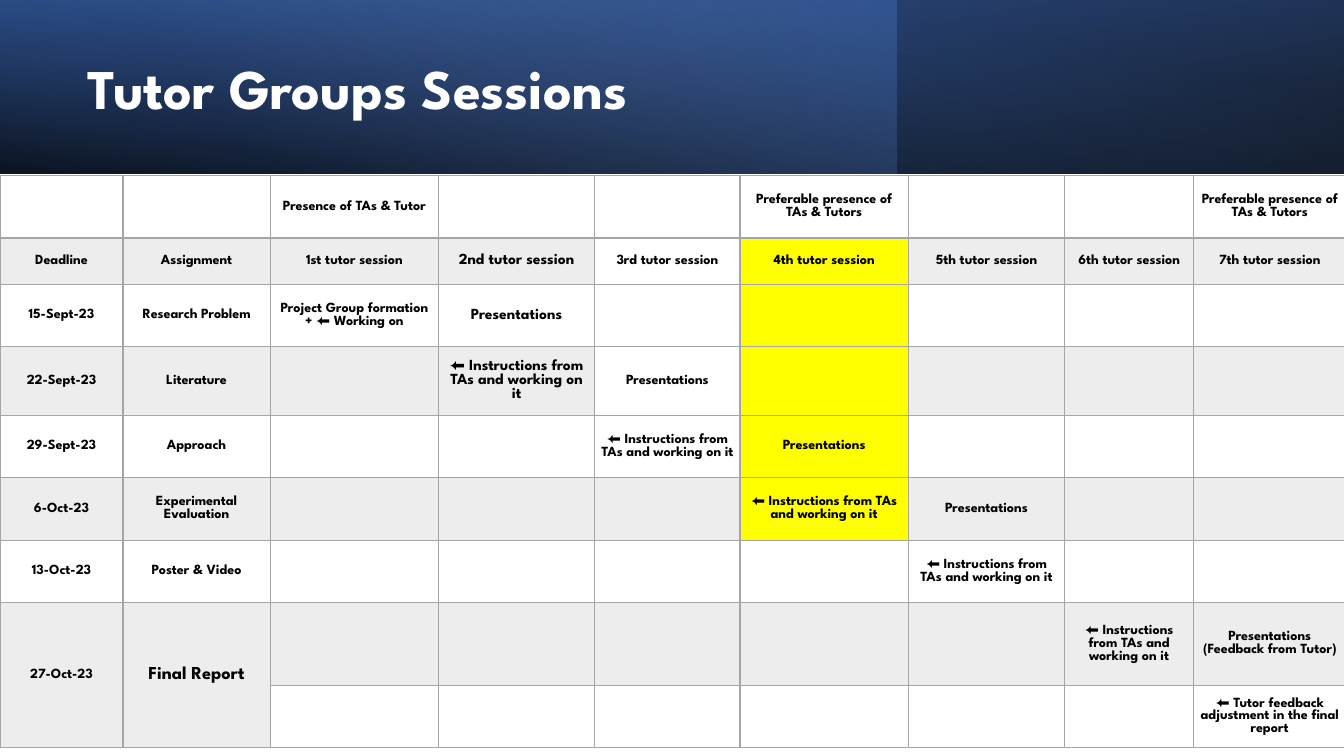
import pptx
import pptx.util
import pptx.dml.color
import pptx.enum.shapes
import pptx.enum.text
import pptx.oxml
import pptx.oxml.ns
from lxml import etree
from pptx.util import Inches

FONT = "League Spartan"
GREY, YELLOW = "A5A5A5", "FFFF00"
PRESENT = "Presentations"
WORKING = "⬅️ Instructions from TAs and working on it"
PREFERABLE = "Preferable presence of TAs & Tutors"

COLUMN_WIDTHS = [1.22, 1.46, 1.67, 1.55, 1.44, 1.67, 1.55, 1.28, 1.51]
ROW_HEIGHTS = [0.62, 0.46, 0.62, 0.68, 0.62, 0.62, 0.62, 0.82, 0.62]
SESSION_HEADS = [f"{number} tutor session" for number in
                 ("1st", "2nd", "3rd", "4th", "5th", "6th", "7th")]

# Each row maps a column number to its text
SCHEDULE = [
    {2: "Presence of TAs & Tutor", 5: PREFERABLE, 8: PREFERABLE},
    dict(enumerate(["Deadline", "Assignment"] + SESSION_HEADS)),
    {0: "15-Sept-23", 1: "Research Problem",
     2: "Project Group formation + ⬅️ Working on", 3: PRESENT},
    {0: "22-Sept-23", 1: "Literature", 3: WORKING, 4: PRESENT},
    {0: "29-Sept-23", 1: "Approach", 4: WORKING, 5: PRESENT},
    {0: "6-Oct-23", 1: "Experimental Evaluation", 5: WORKING, 6: PRESENT},
    {0: "13-Oct-23", 1: "Poster & Video", 6: WORKING},
    {0: "27-Oct-23", 1: "Final Report", 7: WORKING,
     8: "Presentations (Feedback from Tutor)"},
    {8: "⬅️ Tutor feedback adjustment in the final report"},
]


def rgb(hex_colour):
    return pptx.dml.color.RGBColor.from_string(hex_colour)


def format_text(paragraph, size, colour):
    paragraph.font.name = FONT
    paragraph.font.size = pptx.util.Pt(size)
    paragraph.font.bold = True
    paragraph.font.color.rgb = rgb(colour)


def add_band(slide, width, stops, angle, flipped=False, rotation=0):
    """Header band with a gradient; stops are (position, colour, opacity)."""
    band = slide.shapes.add_shape(pptx.enum.shapes.MSO_SHAPE.RECTANGLE,
                                  0, 0, Inches(width), Inches(1.72))
    band.shadow.inherit = False
    band.line.fill.background()
    band.rotation = rotation
    properties = band._element.spPr
    if flipped:
        properties.xfrm.set("flipH", "1")
    stop_xml = "".join(
        f'<a:gs pos="{position * 1000}"><a:srgbClr val="{colour}">'
        f'<a:alpha val="{opacity * 1000}"/></a:srgbClr></a:gs>'
        for position, colour, opacity in stops)
    gradient = pptx.oxml.parse_xml(
        f'<a:gradFill {pptx.oxml.ns.nsdecls("a")} rotWithShape="1">'
        f'<a:gsLst>{stop_xml}</a:gsLst>'
        f'<a:lin ang="{angle * 60000}" scaled="0"/></a:gradFill>')
    properties.find(pptx.oxml.ns.qn("a:prstGeom")).addnext(gradient)


def add_title(slide, text):
    title = slide.shapes.title
    title.left, title.top = Inches(0.77), Inches(0.27)
    title.width, title.height = Inches(7.72), Inches(1.27)
    frame = title.text_frame
    frame.text = text
    frame.auto_size = pptx.enum.text.MSO_AUTO_SIZE.NONE
    frame.vertical_anchor = pptx.enum.text.MSO_ANCHOR.MIDDLE
    heading = frame.paragraphs[0]
    heading.alignment = pptx.enum.text.PP_ALIGN.LEFT
    heading.line_spacing = 0.9
    format_text(heading, 40, "FFFFFF")
    # Bring the title in front of the bands
    slide.shapes._spTree.append(title._element)


def set_borders(cell, bottom_width):
    properties = cell._tc.get_or_add_tcPr()
    widths = {"lnL": 1, "lnR": 1, "lnT": 1, "lnB": bottom_width}
    for index, (side, width) in enumerate(widths.items()):
        properties.insert(index, pptx.oxml.parse_xml(
            f'<a:{side} {pptx.oxml.ns.nsdecls("a")} w="{width * 12700}">'
            f'<a:solidFill><a:srgbClr val="{GREY}"/></a:solidFill></a:{side}>'))


def fill_cell(cell, row, column):
    if column == 5 and 1 <= row <= 5:
        cell.fill.solid()
        cell.fill.fore_color.rgb = rgb(YELLOW)
    elif row % 2 == 1 and (row, column) not in [(1, 4), (3, 4)]:
        cell.fill.solid()
        cell.fill.fore_color.rgb = rgb(GREY)
        colour = cell._tc.tcPr.find(".//" + pptx.oxml.ns.qn("a:solidFill")
                                    + "[last()]/../" + pptx.oxml.ns.qn("a:solidFill")
                                    + "/" + pptx.oxml.ns.qn("a:srgbClr"))
        etree.SubElement(colour, pptx.oxml.ns.qn("a:alpha"), val="20000")
    else:
        cell.fill.background()


def text_size(row, column):
    if (row, column) == (7, 1):
        return 13
    return 11 if column == 3 and 1 <= row <= 3 else 10


def write_cell(cell, text, size):
    cell.text = text
    cell.vertical_anchor = pptx.enum.text.MSO_ANCHOR.MIDDLE
    cell.margin_left = cell.margin_right = Inches(0.06)
    cell.margin_top = cell.margin_bottom = 0
    paragraph = cell.text_frame.paragraphs[0]
    paragraph.alignment = pptx.enum.text.PP_ALIGN.CENTER
    format_text(paragraph, size, "000000")


def add_schedule(slide):
    schedule = slide.shapes.add_table(
        len(ROW_HEIGHTS), len(COLUMN_WIDTHS), 0, Inches(1.74),
        Inches(13.33), Inches(5.69)).table
    schedule.first_row = schedule.horz_banding = False
    for column, width in enumerate(COLUMN_WIDTHS):
        schedule.columns[column].width = Inches(width)
    for row, texts in enumerate(SCHEDULE):
        schedule.rows[row].height = Inches(ROW_HEIGHTS[row])
        for column in range(len(COLUMN_WIDTHS)):
            cell = schedule.cell(row, column)
            fill_cell(cell, row, column)
            set_borders(cell, 2 if row == 0 else 1)
            if column in texts:
                write_cell(cell, texts[column], text_size(row, column))
    # The final deadline and assignment span two rows
    for column in (0, 1):
        schedule.cell(7, column).merge(schedule.cell(8, column))


def main():
    deck = pptx.Presentation()
    deck.slide_width, deck.slide_height = Inches(13.33), Inches(7.5)
    slide = deck.slides.add_slide(deck.slide_layouts[5])

    # Header
    add_band(slide, 13.33, [(0, "000000", 96), (100, "2F5496", 100)], 100,
             flipped=True, rotation=180)
    add_band(slide, 8.89, [(0, "4472C4", 41), (74, "8DA9DB", 0),
                           (100, "8DA9DB", 0)], 140)
    add_band(slide, 13.33, [(0, "000000", 63), (78, "4472C4", 15),
                            (100, "4472C4", 15)], 260, flipped=True)
    add_title(slide, "Tutor Groups Sessions")

    # Session schedule
    add_schedule(slide)
    deck.save("out.pptx")


if __name__ == "__main__":
    main()
